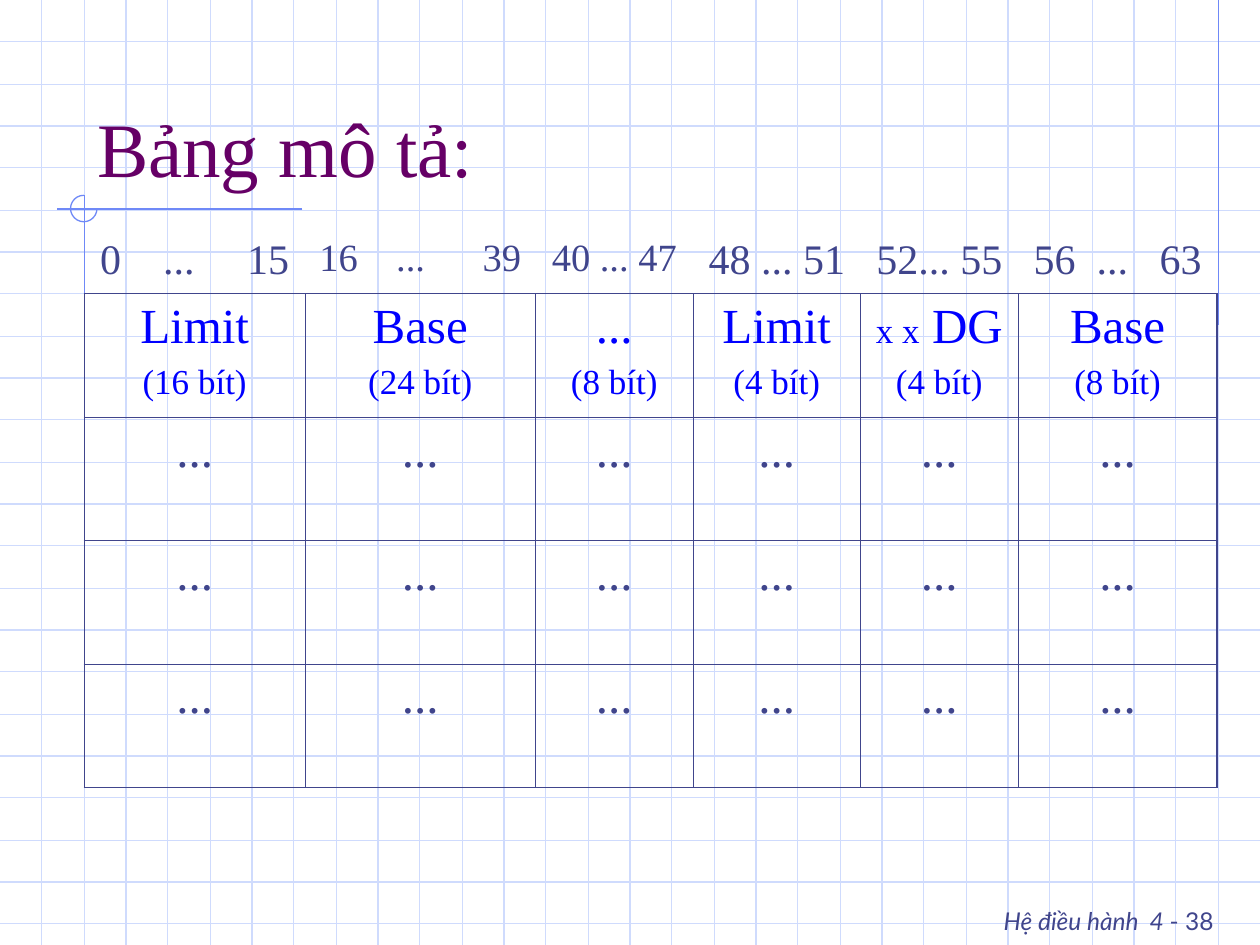
from dataclasses import dataclass
from typing import NamedTuple

import pptx
import pptx.dml.color
import pptx.enum.shapes
import pptx.enum.text
import pptx.oxml
import pptx.oxml.ns
import pptx.util
from pptx.util import Inches

ALIGN = pptx.enum.text.PP_ALIGN
ANCHOR = pptx.enum.text.MSO_ANCHOR
NO_STYLE_TABLE = "{2D5ABB26-0587-4C30-8999-92F81FD0307C}"


@dataclass(frozen=True)
class Theme:
    paper_grid: str = "CFDBFD"
    accent: str = "6F89F7"
    title: str = "660066"
    ink: str = "40458C"
    field: str = "0000FF"
    serif: str = "Times New Roman"
    sans: str = "Lato"
    title_size: int = 44
    name_size: int = 28
    bits_size: int = 20
    footer_size: int = 14
    footer_gap_size: int = 24
    rule: float = 0.75
    inner_border: float = 0.45
    outer_border: float = 1.08


class Field(NamedTuple):
    """One column of the descriptor: its bit range, name and length."""
    width: float
    bit_range: str
    range_size: int
    prefix: str
    name: str
    length: str


THEME = Theme()
FIELDS = [
    Field(1.75, "0    ...     15", 24, "", "Limit", "(16 bít)"),
    Field(1.83, "16    ...      39", 22, "", "Base", "(24 bít)"),
    Field(1.25, "40 ... 47", 22, "", "...", "(8 bít)"),
    Field(1.33, "48 ... 51", 24, "", "Limit", "(4 bít)"),
    Field(1.25, "52... 55", 24, "x x", " DG", "(4 bít)"),
    Field(1.58, "56  ...   63", 24, "", "Base", "(8 bít)"),
]
ROW_HEIGHTS = [0.5] + [0.98] * 4
WIDTH, HEIGHT, GRID_STEP = 10, 7.5, 1 / 3


def rgb(color: str) -> pptx.dml.color.RGBColor:
    return pptx.dml.color.RGBColor.from_string(color)


def format_font(font, size: float, color: str, family: str = THEME.serif) -> None:
    font.size = pptx.util.Pt(size)
    font.color.rgb = rgb(color)
    font.name = family


def add_rule(slide, start: tuple[float, float], end: tuple[float, float], color: str) -> None:
    rule = slide.shapes.add_connector(
        pptx.enum.shapes.MSO_CONNECTOR.STRAIGHT, *map(Inches, start + end))
    rule.line.color.rgb = rgb(color)
    rule.line.width = pptx.util.Pt(THEME.rule)
    rule._element.spPr.append(pptx.oxml.parse_xml(
        f"<a:effectLst {pptx.oxml.ns.nsdecls('a')}/>"))


def add_background(slide) -> None:
    for step in range(1, 23):
        y = round(step * GRID_STEP, 2)
        add_rule(slide, (0, y), (WIDTH, y), THEME.paper_grid)
    for step in range(1, 30):
        x = round(step * GRID_STEP, 2)
        add_rule(slide, (x, 0), (x, HEIGHT), THEME.paper_grid)
    add_rule(slide, (9.67, 0), (9.67, 2.58), THEME.accent)
    add_rule(slide, (2.4, 1.66), (0.45, 1.66), THEME.accent)
    add_rule(slide, (0.67, 1.55), (0.67, 4.09), THEME.accent)
    ring = slide.shapes.add_shape(
        pptx.enum.shapes.MSO_SHAPE.ARC, *map(Inches, (0.56, 1.55, 0.21, 0.21)))
    # Three quarters of a turn, clockwise from the right to the top
    ring.adjustments[0], ring.adjustments[1] = 0, 162
    ring.shadow.inherit = False
    ring.fill.background()
    ring.line.color.rgb = rgb(THEME.accent)
    ring.line.width = pptx.util.Pt(THEME.rule)


def add_title(slide) -> None:
    title = slide.shapes.title
    slide.shapes._spTree.append(title._element)  # bring in front of the grid
    title.left, title.top, title.width, title.height = map(Inches, (0.67, 0.33, 8.5, 1.25))
    frame = title.text_frame
    frame.text = "Bảng mô tả:"
    frame.auto_size = pptx.enum.text.MSO_AUTO_SIZE.NONE
    frame.vertical_anchor = ANCHOR.BOTTOM
    frame.paragraphs[0].alignment = ALIGN.LEFT
    format_font(frame.paragraphs[0].font, THEME.title_size, THEME.title)


def add_footer(slide) -> None:
    footer = slide.shapes.add_textbox(*map(Inches, (6.83, 7, 2.9, 0.5)))
    footer.text_frame.word_wrap = True
    line = footer.text_frame.paragraphs[0]
    line.alignment = ALIGN.RIGHT
    for text, size, italic in [
        ("Hệ điều hành", THEME.footer_size, True),
        (" ", THEME.footer_gap_size, False),
        ("4 ", THEME.footer_size, True),
        ("- 38", THEME.footer_size, False),
    ]:
        run = line.add_run()
        run.text = text
        format_font(run.font, size, THEME.ink, THEME.sans)
        run.font.italic = italic


def format_line(line, size: float, color: str, space_before: float) -> None:
    line.alignment = ALIGN.CENTER
    line.space_before = pptx.util.Pt(space_before)
    format_font(line.font, size, color)


def set_borders(cell, widths: dict[str, float]) -> None:
    """Draw the sides named in widths (L, R, T, B) and hide the others."""
    properties = cell._tc.get_or_add_tcPr()
    for position, side in enumerate("LRTB"):
        paint = "<a:noFill/>"
        if side in widths:
            paint = f'<a:solidFill><a:srgbClr val="{THEME.ink}"/></a:solidFill>'
        width = pptx.util.Pt(widths.get(side, 0))
        properties.insert(position, pptx.oxml.parse_xml(
            f'<a:ln{side} {pptx.oxml.ns.nsdecls("a")} w="{width}">{paint}</a:ln{side}>'))


def fill_cell(cell, field: Field, row: int) -> None:
    line = cell.text_frame.paragraphs[0]
    if row == 0:
        line.text = field.bit_range
        format_line(line, field.range_size, THEME.ink, field.range_size / 4)
    elif row == 1:
        format_line(line, THEME.name_size, THEME.field, 7)
        if field.prefix:
            prefix = line.add_run()
            prefix.text = field.prefix
            prefix.font.size = pptx.util.Pt(THEME.bits_size)
        line.add_run().text = field.name
        length = cell.text_frame.add_paragraph()
        length.text = field.length
        format_line(length, THEME.bits_size, THEME.field, 5)
    else:
        line.text = "..."
        format_line(line, THEME.name_size, THEME.ink, 7)


def add_descriptor_table(slide) -> None:
    table = slide.shapes.add_table(
        len(ROW_HEIGHTS), len(FIELDS), Inches(0.67), Inches(1.83),
        Inches(sum(field.width for field in FIELDS)), Inches(sum(ROW_HEIGHTS))).table
    table.first_row = table.horz_banding = False
    table._tbl.tblPr.find(pptx.oxml.ns.qn("a:tableStyleId")).text = NO_STYLE_TABLE
    last_row, last_column = len(ROW_HEIGHTS) - 1, len(FIELDS) - 1
    for row, height in enumerate(ROW_HEIGHTS):
        table.rows[row].height = Inches(height)
        for column, field in enumerate(FIELDS):
            table.columns[column].width = Inches(field.width)
            cell = table.cell(row, column)
            cell.fill.background()
            fill_cell(cell, field, row)
            borders = dict.fromkeys("LRTB" if row else "B", THEME.inner_border)
            outer_sides = {"L": column == 0, "R": column == last_column, "B": row == last_row}
            borders.update({side: THEME.outer_border for side, outer in outer_sides.items()
                            if outer and row})
            set_borders(cell, borders)


def main() -> None:
    deck = pptx.Presentation()
    deck.slide_width, deck.slide_height = Inches(WIDTH), Inches(HEIGHT)
    slide = deck.slides.add_slide(deck.slide_layouts.get_by_name("Title Only"))
    add_background(slide)
    add_footer(slide)
    add_title(slide)
    add_descriptor_table(slide)
    deck.save("out.pptx")


if __name__ == "__main__":
    main()
